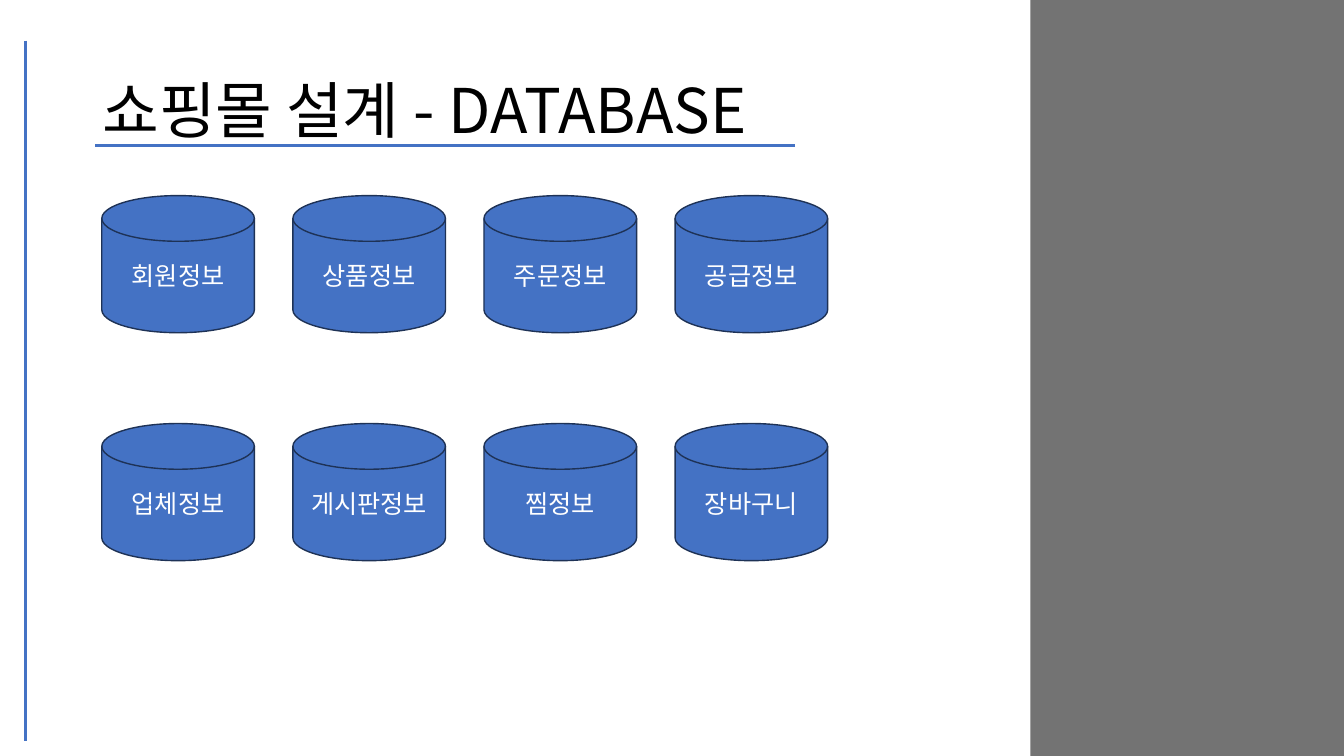
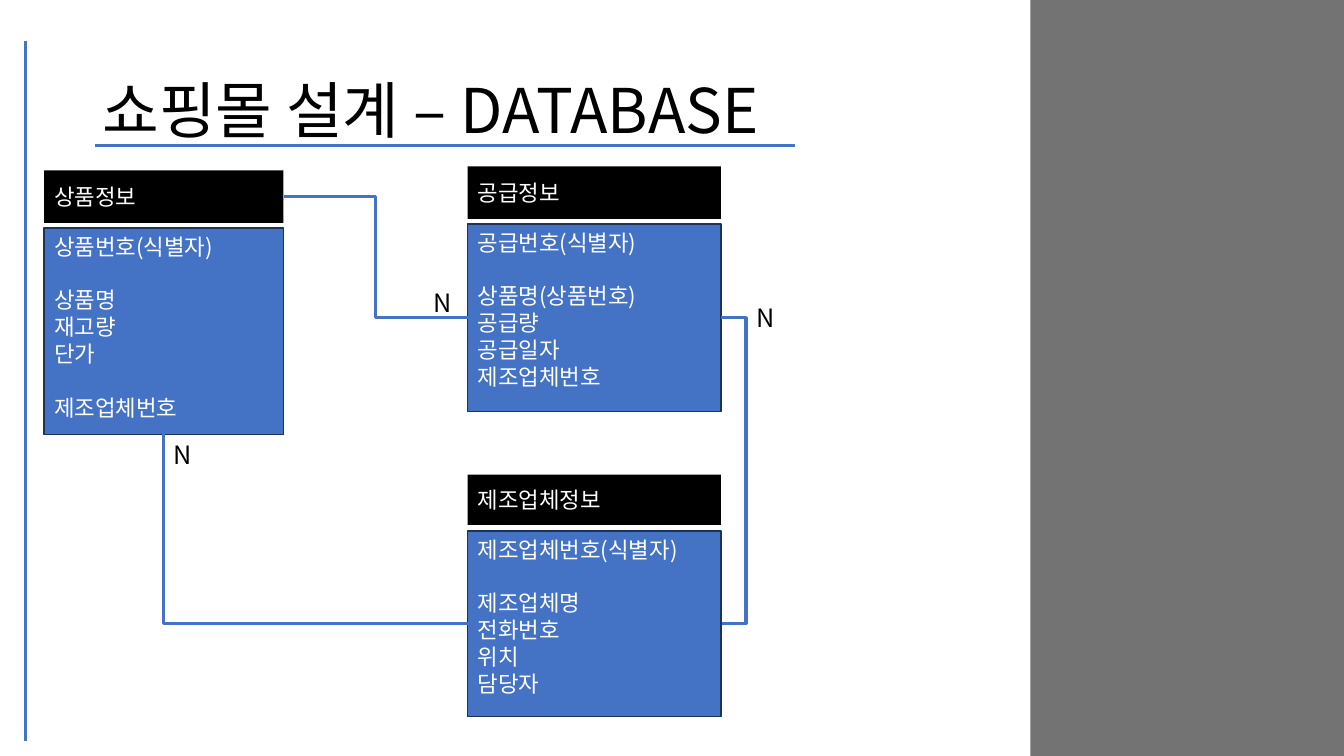
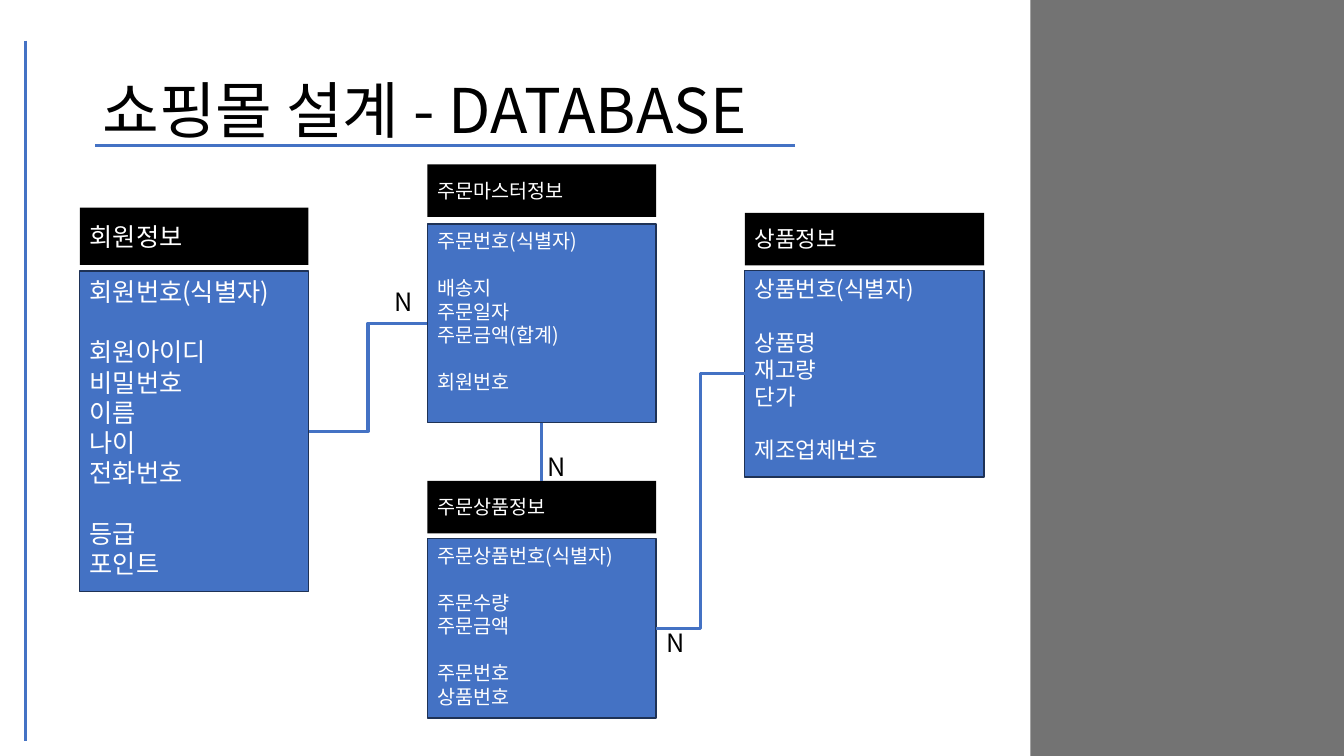
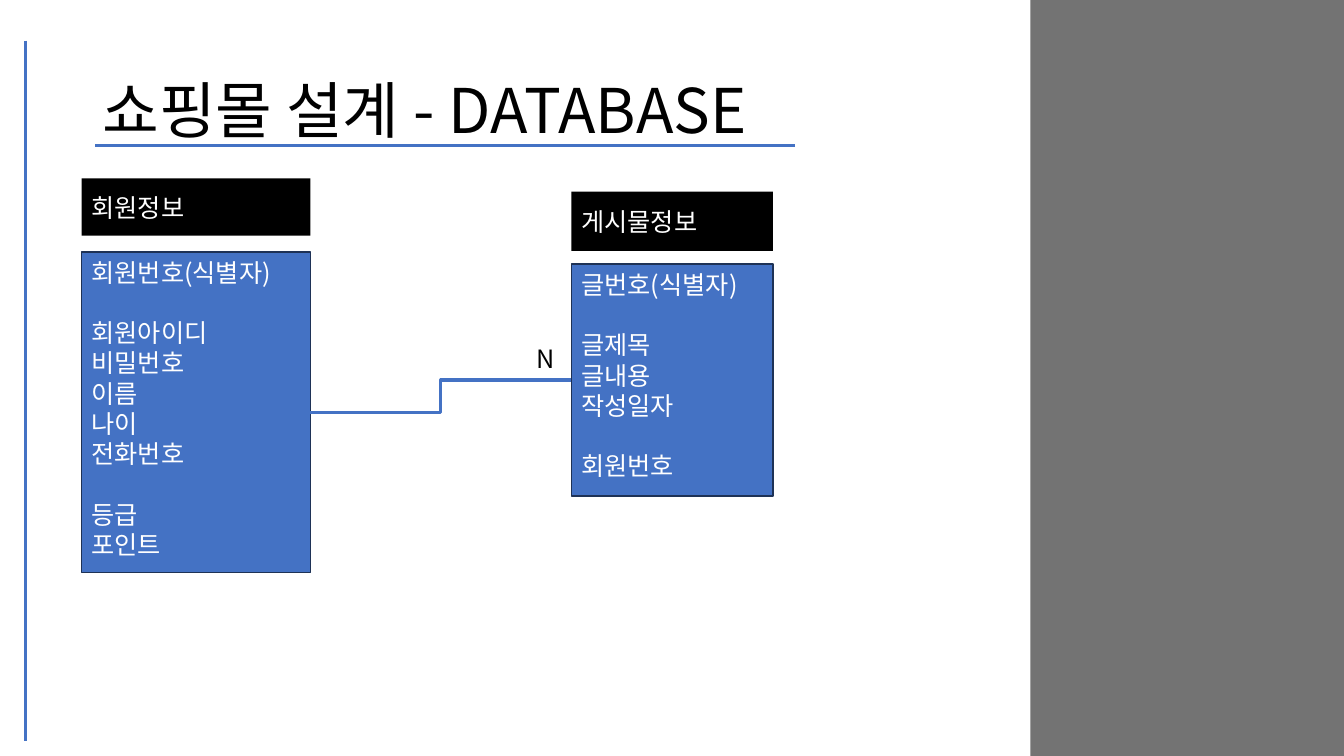
import dataclasses

import pptx
import pptx.dml.color
import pptx.enum.shapes
import pptx.enum.text
import pptx.oxml
import pptx.oxml.ns
import pptx.util
from lxml import etree

Pt = pptx.util.Pt
RGB = pptx.dml.color.RGBColor.from_string
SHAPE = pptx.enum.shapes.MSO_SHAPE
WIRE = pptx.enum.shapes.MSO_CONNECTOR
ANCHOR = pptx.enum.text.MSO_ANCHOR
ALIGN = pptx.enum.text.PP_ALIGN
qn = pptx.oxml.ns.qn

# Connection sites of a rectangle
TOP, LEFT, BOTTOM, RIGHT = range(4)


@dataclasses.dataclass(frozen=True)
class Theme:
    blue: str = "4472C4"
    navy: str = "1E3256"
    gray: str = "737373"
    black: str = "000000"
    white: str = "FFFFFF"
    font: str = "Noto Sans CJK KR"
    title: float = 44
    large: float = 18
    mid: float = 16
    small: float = 14
    line: float = 2.25
    edge: float = 1
    lead: float = 1.2


THEME = Theme()

GOODS = (("상품번호(식별자)",), ("상품명", "재고량", "단가"), ("제조업체번호",))
SUPPLY = (("공급번호(식별자)",),
          ("상품명(상품번호)", "공급량", "공급일자", "제조업체번호"))
MAKER = (("제조업체번호(식별자)",), ("제조업체명", "전화번호", "위치", "담당자"))
MEMBER = (("회원번호(식별자)",),
          ("회원아이디", "비밀번호", "이름", "나이", "전화번호"),
          ("등급", "포인트"))
ORDER = (("주문번호(식별자)",), ("배송지", "주문일자", "주문금액(합계)"), ("회원번호",))
ITEM = (("주문상품번호(식별자)",), ("주문수량", "주문금액"), ("주문번호", "상품번호"))
POST = (("글번호(식별자)",), ("글제목", "글내용", "작성일자"), ("회원번호",))

DISKS = (("회원정보", "상품정보", "주문정보", "공급정보"),
         ("업체정보", "게시판정보", "찜정보", "장바구니"))


def style(shape, size, color, align=ALIGN.LEFT):
    """Format all text of a shape, Latin and Korean alike."""
    for para in shape.text_frame.paragraphs:
        para.alignment = align
        for run in para.runs:
            run.font.size = Pt(size)
            run.font.color.rgb = RGB(color)
            run.font.name = THEME.font
    for props in shape.element.iter(qn("a:rPr")):
        etree.SubElement(props, qn("a:ea")).set("typeface", THEME.font)


def box(slide, kind, x, y, w, h, fill, edge=None):
    shape = slide.shapes.add_shape(kind, Pt(x), Pt(y), Pt(w), Pt(h))
    shape.shadow.inherit = False
    shape.fill.solid()
    shape.fill.fore_color.rgb = RGB(fill)
    if edge:
        shape.line.color.rgb = RGB(edge)
        shape.line.width = Pt(THEME.edge)
    else:
        shape.line.fill.background()
    return shape


def line(slide, x1, y1, x2, y2, kind=WIRE.STRAIGHT):
    wire = slide.shapes.add_connector(kind, Pt(x1), Pt(y1), Pt(x2), Pt(y2))
    wire.line.color.rgb = RGB(THEME.blue)
    wire.line.width = Pt(THEME.line)
    etree.SubElement(wire.element.spPr, qn("a:effectLst"))
    return wire


def link(slide, start, out, end, into, kind=WIRE.ELBOW):
    """Join a site of one box to a site of another."""
    wire = line(slide, 0, 0, 0, 0, kind)
    wire.begin_connect(start, out)
    wire.end_connect(end, into)
    return wire


def corner(wire):
    """Give an elbow a single bend."""
    wire.element.spPr.find(qn("a:prstGeom")).set("prst", "bentConnector2")


def bend(wire, ratio):
    """Place the middle leg of an elbow, as a share of its width."""
    guides = wire.element.spPr.find(qn("a:prstGeom")).get_or_add_avLst()
    guide = etree.SubElement(guides, qn("a:gd"))
    guide.set("name", "adj1")
    guide.set("fmla", f"val {round(ratio * 100000)}")


def disk(slide, text, x, y):
    shape = box(slide, SHAPE.FLOWCHART_MAGNETIC_DISK, x, y, 109, 98,
                THEME.blue, THEME.navy)
    shape.text_frame.text = text
    style(shape, THEME.large, THEME.white, ALIGN.CENTER)


def entity(slide, name, groups, x, y, w, top, h, size, gap=3.6):
    """Draw a name bar and, below it, the grouped fields."""
    head = box(slide, SHAPE.RECTANGLE, x, y, w, top, THEME.black)
    head.text_frame.text = name
    style(head, size, THEME.white)

    body = box(slide, SHAPE.RECTANGLE, x, y + top + gap, w, h,
               THEME.blue, THEME.navy)
    frame = body.text_frame
    frame.vertical_anchor = ANCHOR.TOP
    frame.text = "\n".join(field for group in groups for field in group)
    paras = iter(frame.paragraphs)
    for group in groups:
        for rank, field in enumerate(group):
            para = next(paras)
            para.line_spacing = Pt(THEME.lead * size)
            if rank == 0 and group is not groups[0]:
                para.space_before = Pt(THEME.lead * size)
    style(body, size, THEME.white)
    return head, body


def many(slide, x, y):
    """Mark the many side of a relation."""
    label = slide.shapes.add_textbox(Pt(x), Pt(y), Pt(37.5), Pt(29))
    label.text_frame.word_wrap = True
    label.text_frame.text = "N"
    label.text_frame.paragraphs[0].line_spacing = Pt(THEME.lead * THEME.large)
    style(label, THEME.large, THEME.black)


def page(deck, text):
    slide = deck.slides.add_slide(deck.slide_layouts[5])
    title = slide.shapes.title
    title.left, title.top = Pt(66), Pt(29)
    title.width, title.height = Pt(828), Pt(104)
    frame = title.text_frame
    frame.text = text
    frame.word_wrap = True
    frame.auto_size = pptx.enum.text.MSO_AUTO_SIZE.NONE
    frame.vertical_anchor = ANCHOR.MIDDLE
    frame.paragraphs[0].line_spacing = 0.9
    style(title, THEME.title, THEME.black)
    return slide


def share(slide):
    """Put the side band and the rules on the layout of all slides."""
    parts = (box(slide, SHAPE.RECTANGLE, 736, 0, 224, 540, THEME.gray),
             line(slide, 18, 29, 18, 529),
             line(slide, 568, 104, 68, 104))
    for part in parts:
        slide.slide_layout.shapes.element.append(part.element)


def stores(slide):
    for row, names in enumerate(DISKS):
        for col, name in enumerate(names):
            disk(slide, name, 72.7 + 136.5 * col, 139.7 + 162.8 * row)


def supply(slide):
    bar, goods = entity(slide, "상품정보", GOODS,
                        31.5, 121.7, 171, 37.5, 147.6, THEME.mid)
    stock = entity(slide, "공급정보", SUPPLY,
                   334, 118.8, 181, 37.5, 134, THEME.mid)[1]
    maker = entity(slide, "제조업체정보", MAKER,
                   334, 339, 181, 36, 132.5, THEME.mid, 4.2)[1]
    link(slide, bar, RIGHT, stock, LEFT)
    corner(link(slide, maker, LEFT, goods, BOTTOM))
    side = line(slide, 515, 226.9, 516, 445.2, WIRE.ELBOW)
    side.begin_connect(stock, RIGHT)
    bend(side, 18)
    for x, y in ((117, 310.5), (302.5, 201.5), (533, 212.5)):
        many(slide, x, y)


def orders(slide):
    order = entity(slide, "주문마스터정보", ORDER,
                   305.3, 117.4, 163.4, 37.5, 142, THEME.small, 5)[1]
    member = entity(slide, "회원정보", MEMBER,
                    57, 148.3, 163.4, 41, 229, THEME.large, 4.4)[1]
    goods = entity(slide, "상품정보", GOODS,
                   532, 152, 171, 37.5, 147.6, THEME.mid)[1]
    bar, item = entity(slide, "주문상품정보", ITEM,
                       305.3, 343.5, 163.4, 37.5, 128.2, THEME.small)
    link(slide, member, RIGHT, order, LEFT)
    link(slide, item, RIGHT, goods, LEFT)
    link(slide, order, BOTTOM, bar, TOP, WIRE.STRAIGHT)
    for x, y in ((275, 201), (468.7, 444.5), (383.8, 319)):
        many(slide, x, y)


def posts(slide):
    member = entity(slide, "회원정보", MEMBER,
                    58.3, 127.4, 163.4, 41, 229, THEME.large, 11.6)[1]
    post = entity(slide, "게시물정보", POST,
                  408.2, 136.8, 144, 42.5, 165.6, THEME.large, 9.4)[1]
    link(slide, member, RIGHT, post, LEFT)
    many(slide, 375.8, 242)


def main():
    deck = pptx.Presentation()
    deck.slide_width, deck.slide_height = Pt(960), Pt(540)
    plain, dash = "쇼핑몰 설계 - DATABASE", "쇼핑몰 설계 – DATABASE"
    pages = ((plain, stores), (dash, supply), (plain, orders), (plain, posts))
    for text, draw in pages:
        draw(page(deck, text))
    share(deck.slides[0])
    deck.save("out.pptx")


if __name__ == "__main__":
    main()
